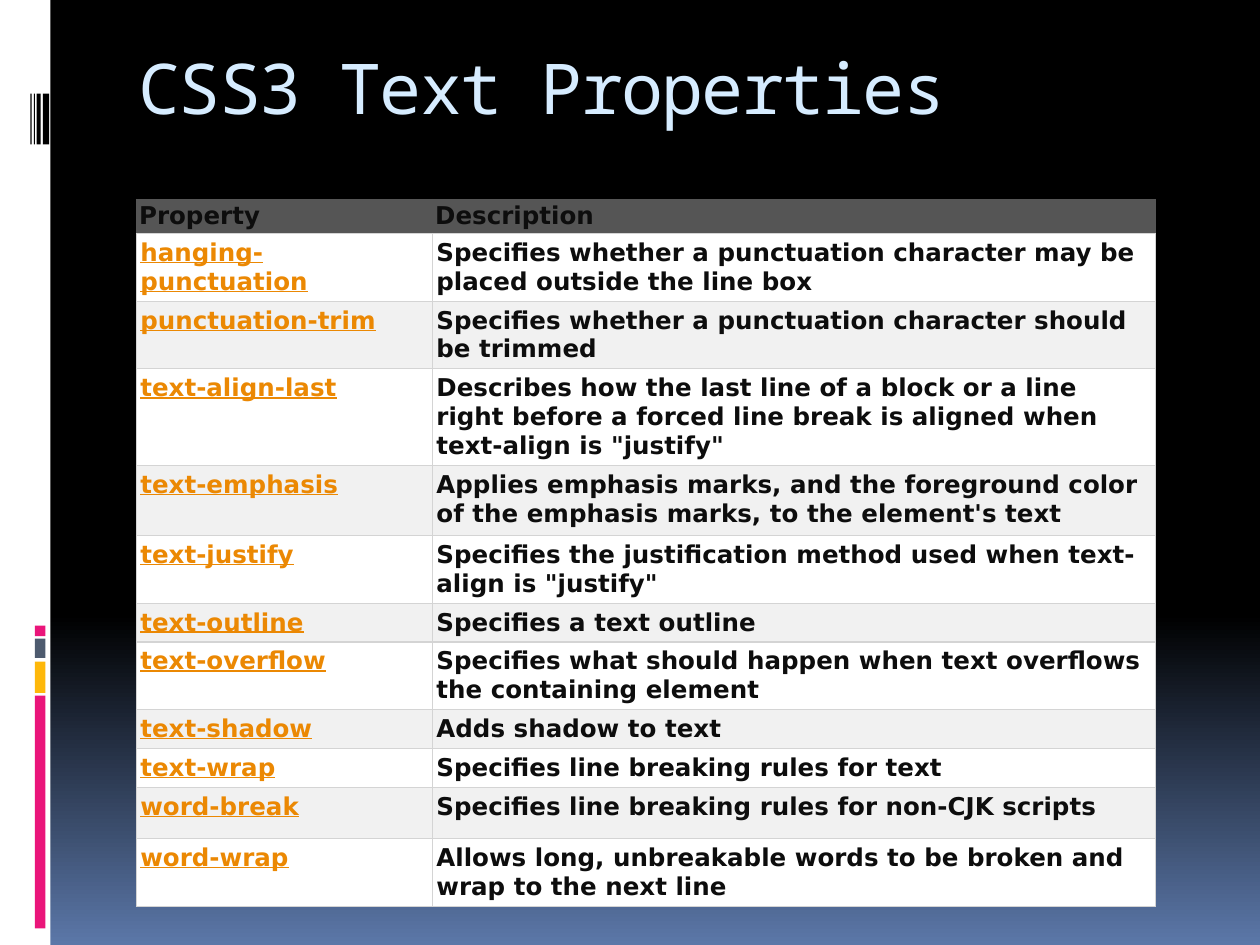
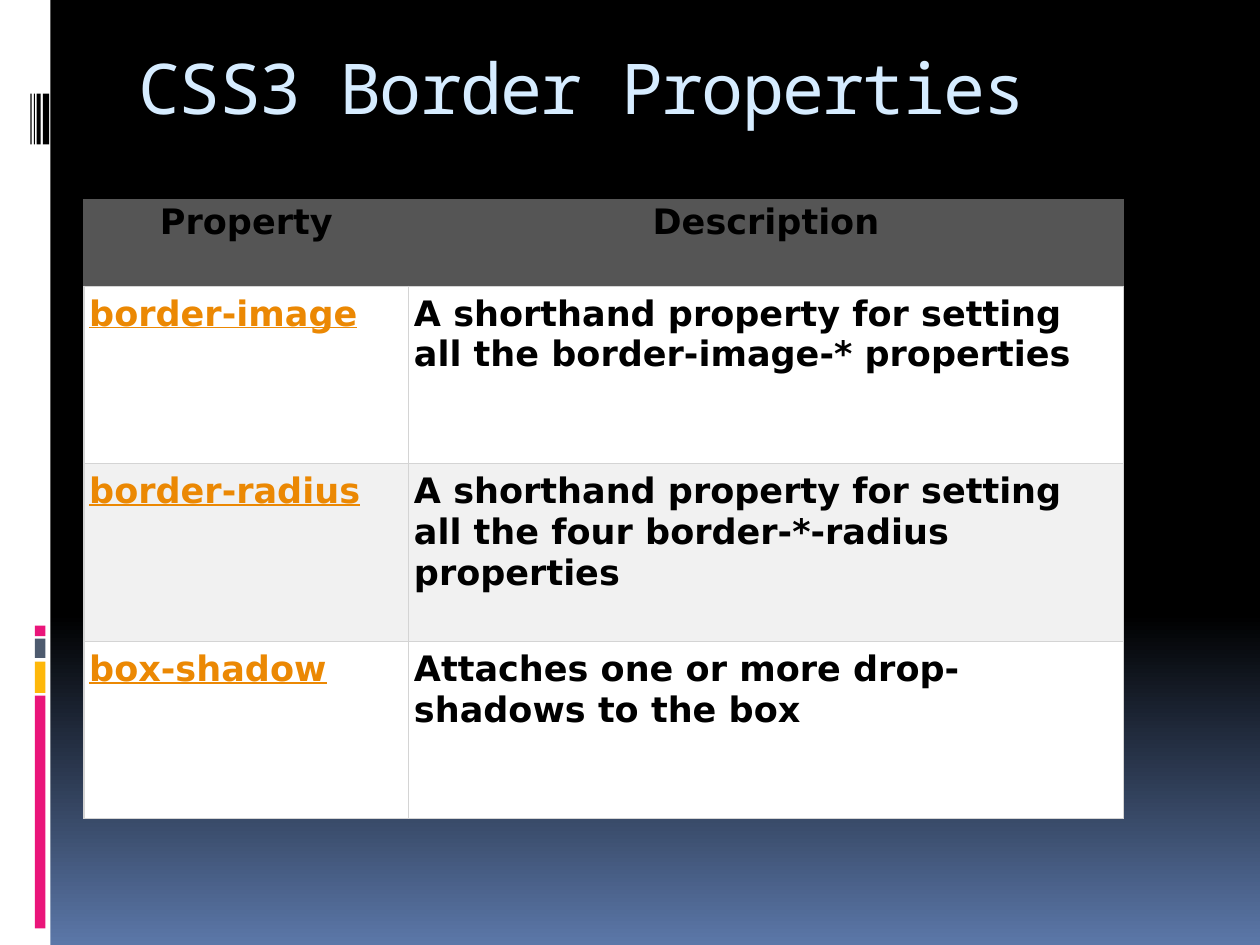
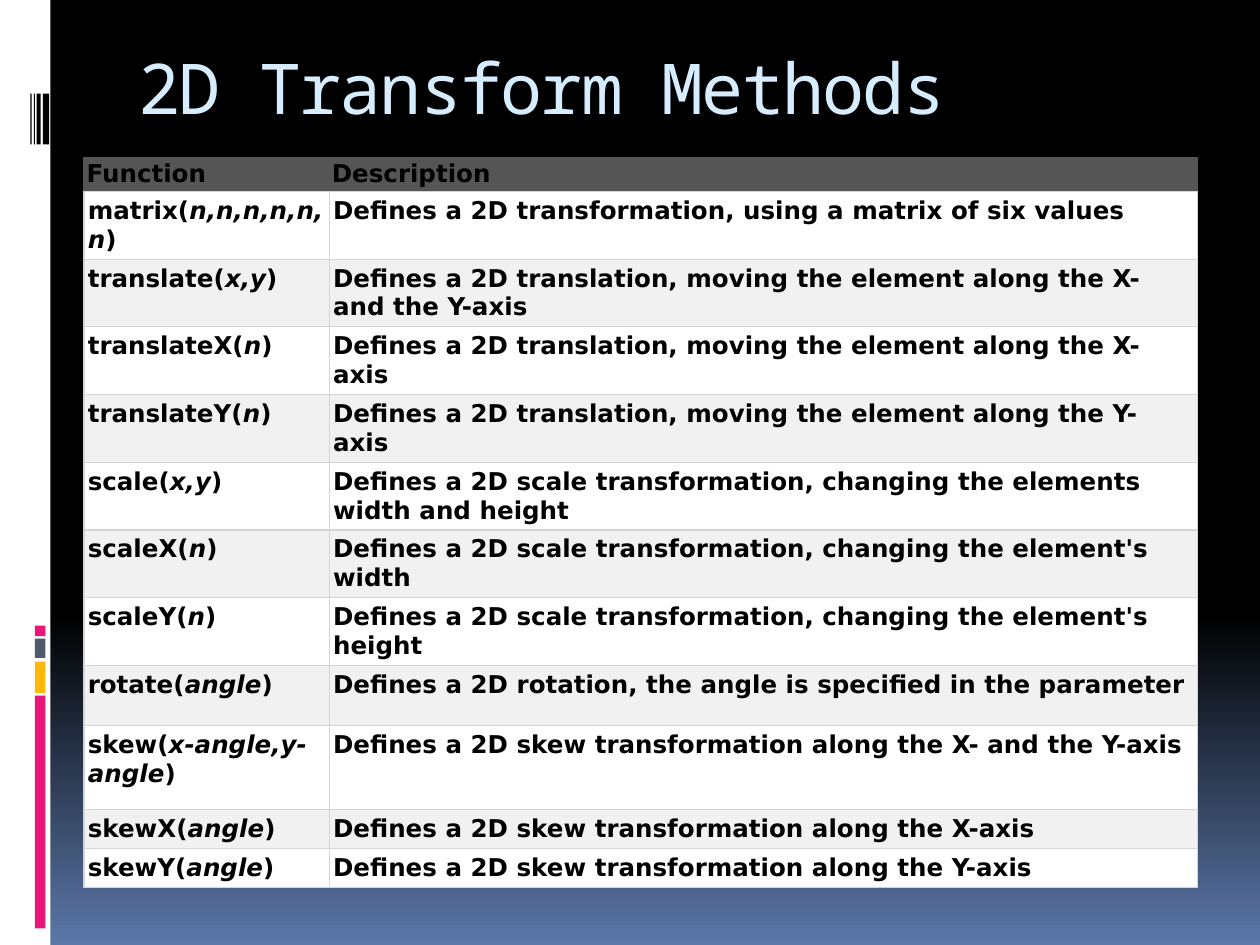
import copy

import pptx
import pptx.dml.color
import pptx.enum.shapes
import pptx.enum.text
import pptx.oxml
import pptx.oxml.ns
import pptx.util

Pt = pptx.util.Pt
COLORS = {
    "black": "000000", "sky": "5B77A8", "white": "FFFFFF", "pink": "EA157A",
    "amber": "FEB80A", "slate": "4E5B6F", "title": "D6ECFF", "header": "555555",
    "band": "F1F1F1", "border": "D4D4D4", "link": "EB8803", "ink": "0D0D0D",
}
TITLE_FONT, TABLE_FONT = "Noto Sans Mono", "DejaVu Sans"
COLOR = {name: pptx.dml.color.RGBColor.from_string(value) for name, value in COLORS.items()}

TABLES = [
    {
        "title": "CSS3 Text Properties",
        "at": (78, 114), "height": 408, "columns": (169.2, 413),
        "row_heights": (14, 29, 29, 40, 40, 29, 17, 29, 17, 17, 29, 29),
        "size": 14, "ink": "ink", "margins": (2.2, 2.9), "linked": True,
        "header_align": pptx.enum.text.PP_ALIGN.LEFT,
        "rows": [
            ("Property", "Description"),
            ("hanging-punctuation", "Specifies whether a punctuation character may be placed outside the line box"),
            ("punctuation-trim", "Specifies whether a punctuation character should be trimmed"),
            ("text-align-last", "Describes how the last line of a block or a line right before a forced "
                                "line break is aligned when text-align is \"justify\""),
            ("text-emphasis", "Applies emphasis marks, and the foreground color of the emphasis marks, "
                              "to the element's text"),
            ("text-justify", "Specifies the justification method used when text-align is \"justify\""),
            ("text-outline", "Specifies a text outline"),
            ("text-overflow", "Specifies what should happen when text overflows the containing element"),
            ("text-shadow", "Adds shadow to text"),
            ("text-wrap", "Specifies line breaking rules for text"),
            ("word-break", "Specifies line breaking rules for non-CJK scripts"),
            ("word-wrap", "Allows long, unbreakable words to be broken and wrap to the next line"),
        ],
    },
    {
        "title": "CSS3 Border Properties",
        "at": (48, 114), "height": 354, "columns": (185.6, 408.4),
        "row_heights": (49.5, 101.5, 101.5, 101.5),
        "size": 20, "ink": "black", "margins": (3, 4.3), "linked": True,
        "header_align": pptx.enum.text.PP_ALIGN.CENTER,
        "rows": [
            ("Property", "Description"),
            ("border-image", "A shorthand property for setting all the border-image-* properties"),
            ("border-radius", "A shorthand property for setting all the four border-*-radius properties"),
            ("box-shadow", "Attaches one or more drop-shadows to the box"),
        ],
    },
    {
        "title": "2D Transform Methods",
        "at": (48, 90), "height": 412.5, "columns": (140.2, 496),
        "row_heights": (17,) + (34.5,) * 8 + (48, 21, 21),
        "size": 14, "ink": "black", "margins": (2.2, 2.9), "linked": False,
        "header_align": pptx.enum.text.PP_ALIGN.LEFT,
        # Text between bars is italic.
        "rows": [
            ("Function", "Description"),
            ("matrix(|n,n,n,n,n,n|)", "Defines a 2D transformation, using a matrix of six values"),
            ("translate(|x,y|)", "Defines a 2D translation, moving the element along the X- and the Y-axis"),
            ("translateX(|n|)", "Defines a 2D translation, moving the element along the X-axis"),
            ("translateY(|n|)", "Defines a 2D translation, moving the element along the Y-axis"),
            ("scale(|x,y|)", "Defines a 2D scale transformation, changing the elements width and height"),
            ("scaleX(|n|)", "Defines a 2D scale transformation, changing the element's width"),
            ("scaleY(|n|)", "Defines a 2D scale transformation, changing the element's height"),
            ("rotate(|angle|)", "Defines a 2D rotation, the angle is specified in the parameter"),
            ("skew(|x-angle,y-angle|)", "Defines a 2D skew transformation along the X- and the Y-axis"),
            ("skewX(|angle|)", "Defines a 2D skew transformation along the X-axis"),
            ("skewY(|angle|)", "Defines a 2D skew transformation along the Y-axis"),
        ],
    },
]


def add_run(paragraph, text, font_name, size, color):
    run = paragraph.add_run()
    run.text = text
    run.font.name = font_name
    run.font.size = Pt(size)
    run.font.color.rgb = COLOR[color]
    return run


def set_borders(cell, side_color):
    """Draw the left, right and top edges in side_color, the bottom in the grid colour."""
    edges = {"lnL": side_color, "lnR": side_color, "lnT": side_color, "lnB": "border"}
    for position, (edge, color) in enumerate(edges.items()):
        line = pptx.oxml.parse_xml(
            f'<a:{edge} {pptx.oxml.ns.nsdecls("a")} w="{Pt(0.75)}">'
            f'<a:solidFill><a:srgbClr val="{COLORS[color]}"/></a:solidFill></a:{edge}>')
        cell.fill._xPr.insert(position, line)


deck = pptx.Presentation()
deck.slide_width, deck.slide_height = Pt(720), Pt(540)
master = deck.slide_master
layout = deck.slide_layouts.get_by_name("Title Only")

# Background shared by all slides
backdrop = master.background.fill
backdrop.gradient()
backdrop.gradient_angle = 270
stop_list = master.element.xpath("./p:cSld/p:bg//a:gsLst")[0]
stop_list.insert(1, copy.deepcopy(stop_list[0]))
for stop, (position, color) in zip(backdrop.gradient_stops,
                                   [(0, "black"), (0.65, "black"), (1, "sky")]):
    stop.position = position
    stop.color.rgb = COLOR[color]

# Title position shared by all slides
layout_title = layout.placeholders[0]
layout_title.left, layout_title.top = Pt(72), Pt(24)
layout_title.width, layout_title.height = Pt(612), Pt(72)
layout_title.text_frame.vertical_anchor = pptx.enum.text.MSO_ANCHOR.TOP
layout_title.text_frame.auto_size = pptx.enum.text.MSO_AUTO_SIZE.NONE
layout_title.text_frame.margin_top = Pt(1.5)

slides = [deck.slides.add_slide(layout) for _ in TABLES]

# Side band with its colour blocks and barcode, moved to the master
side_band = [(0, 0, 28.8, 540, "white")]
side_band += [(20, top, 6, height, color) for top, height, color in [
    (397.5, 133, "pink"), (378, 18, "amber"), (365, 11, "slate"), (357.5, 6, "pink")]]
side_band += [(left, 53.5, width, 29, "black") for left, width in [
    (24.5, 3.6), (21, 2.2), (19.3, 0.7), (17.4, 0.7)]]
for number, (left, top, width, height, color) in enumerate(side_band):
    block = slides[0].shapes.add_shape(
        pptx.enum.shapes.MSO_SHAPE.RECTANGLE, Pt(left), Pt(top), Pt(width), Pt(height))
    block.shadow.inherit = False
    block.fill.solid()
    block.fill.fore_color.rgb = COLOR[color]
    block.line.fill.background()
    block.element.xpath("./p:nvSpPr/p:cNvPr")[0].set("id", str(100 + number))
    master.shapes.element.insert(2 + number, block.element)

for slide, content in zip(slides, TABLES):
    heading = slide.shapes.title.text_frame.paragraphs[0]
    heading.alignment = pptx.enum.text.PP_ALIGN.LEFT
    title_run = add_run(heading, content["title"], TITLE_FONT, 40, "title")
    title_run.font._element.set("spc", "-100")

    rows, columns = content["rows"], content["columns"]
    left, top = content["at"]
    frame = slide.shapes.add_table(len(rows), len(columns), Pt(left), Pt(top),
                                   Pt(sum(columns)), Pt(content["height"]))
    table = frame.table
    table.first_row = table.horz_banding = False
    for column, width in zip(table.columns, columns):
        column.width = Pt(width)
    for row, height in zip(table.rows, content["row_heights"]):
        row.height = Pt(height)
    frame.height = Pt(content["height"])

    for row_index, row in enumerate(rows):
        is_header = row_index == 0
        if is_header:
            fill, (side_margin, end_margin) = "header", (1.5, 1.5)
        else:
            fill, (side_margin, end_margin) = ("band", "white")[row_index % 2], content["margins"]
        for column_index, text in enumerate(row):
            cell = table.cell(row_index, column_index)
            cell.margin_left = cell.margin_right = Pt(side_margin)
            cell.margin_top = cell.margin_bottom = Pt(end_margin)
            cell.fill.solid()
            cell.fill.fore_color.rgb = COLOR[fill]
            set_borders(cell, "header" if is_header else "border")

            is_link = content["linked"] and column_index == 0 and not is_header
            paragraph = cell.text_frame.paragraphs[0]
            if is_header:
                paragraph.alignment = content["header_align"]
            for part_index, part in enumerate(text.split("|")):
                run = add_run(paragraph, part, TABLE_FONT, content["size"],
                              "link" if is_link else content["ink"])
                run.font.bold = True
                run.font.italic = part_index % 2 == 1
                run.font.underline = is_link

deck.save("out.pptx")
